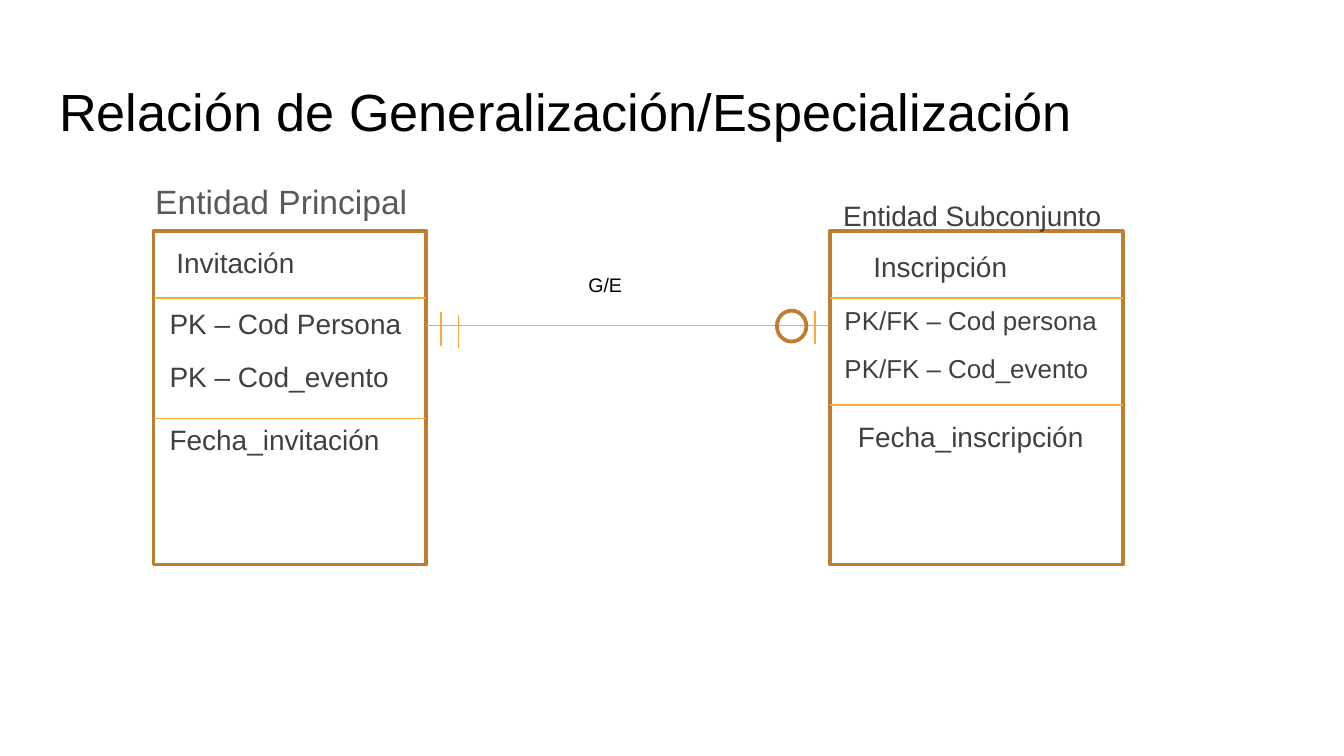
from lxml.etree import SubElement
from pptx import Presentation
from pptx.dml.color import RGBColor as Rgb
from pptx.enum.shapes import MSO_CONNECTOR as Conn, MSO_SHAPE as Shape
from pptx.enum.text import MSO_ANCHOR as Anchor, PP_ALIGN as Align
from pptx.oxml.ns import qn
from pptx.util import Inches, Pt

COLS, ROWS = 100, 56.25
INK = {"title": "000000", "head": "595959", "body": "404040",
       "frame": "BD7F2F", "rule": "FEA83A"}


def cell(num):
    return Inches(num / 10)


def tint(name):
    return Rgb.from_string(INK[name])


def style(item, props):
    for key, val in props.items():
        setattr(item, key, val)


def write(frame, lines, size, ink="body", pad=(1, 0.4, 0, 0.4), lead=0.9):
    left, top, right, low = map(cell, pad)
    style(frame, {"margin_left": left, "margin_top": top, "margin_right": right,
                  "margin_bottom": low, "word_wrap": True, "vertical_anchor": Anchor.TOP})
    for num, line in enumerate(lines):
        para = frame.paragraphs[0] if num == 0 else frame.add_paragraph()
        para.text = line
        style(para, {"alignment": Align.LEFT, "line_spacing": lead,
                     "space_before": Pt(12 if num else 0), "space_after": Pt(2)})
        style(para.font, {"name": "Arial", "size": Pt(size)})
        para.font.color.rgb = tint(ink)


def label(slide, box, lines, size, **look):
    text = slide.shapes.add_textbox(*map(cell, box))
    write(text.text_frame, lines, size, **look)


def rule(slide, ends):
    line = slide.shapes.add_connector(Conn.STRAIGHT, *map(cell, ends))
    line.line.color.rgb = tint("rule")
    line.line.width = Pt(0.75)
    SubElement(line._element.spPr, qn("a:effectLst"))


def outline(slide, kind, box):
    shape = slide.shapes.add_shape(kind, *map(cell, box))
    shape.shadow.inherit = False
    shape.fill.background()
    shape.line.color.rgb = tint("frame")
    shape.line.width = Pt(2)


def title(slide, box, text):
    head = slide.shapes.title
    style(head, dict(zip(("left", "top", "width", "height"), map(cell, box))))
    write(head.text_frame, [text], 28, ink="title", pad=(1, 1, 1, 1), lead=1)


def entity(slide, box, splits, parts):
    left, top, wide, high = box
    outline(slide, Shape.RECTANGLE, box)
    for drop in splits:
        rule(slide, (left, top + drop, left + wide, top + drop))
    for right, down, tall, lines, size, lead in parts:
        label(slide, (left + right, top + down, 21.8, tall), lines, size, lead=lead)


def relation(slide, box, name):
    left, top, wide, high = box
    mid = top + high / 2
    rule(slide, (left, mid, left + wide, mid))
    for right, down in ((1.1, 0.2), (2.4, 0.4), (28.95, 0.1)):
        rule(slide, (left + right, top + down, left + right, top + down + 2.5))
    outline(slide, Shape.OVAL, (left + 26.1, top + 0.1, 2.2, 2.3))
    label(slide, (left + 11.1, top - 3.2, 11.2, 2.8), [name], 10.5,
          ink="title", pad=(1, 0.5, 1, 0.5), lead=1)


def main():
    deck = Presentation()
    deck.slide_width, deck.slide_height = cell(COLS), cell(ROWS)
    slide = deck.slides.add_slide(deck.slide_layouts[5])
    title(slide, (3.4, 4.9, 93.2, 6.3), "Relación de Generalización/Especialización")
    label(slide, (9.3, 12, 27.4, 4.4), ["Entidad Principal"], 18,
          ink="head", pad=(2.25, 1, 1, 1), lead=1.15)
    entity(slide, (11.43, 17.2, 20.3, 24.8), (4.97, 13.93), (
        (0.7, 0.95, 3.4, ["Invitación"], 15, 0.9),
        (0.2, 5.7, 7.2, ["PK – Cod Persona", "PK – Cod_evento"], 15, 0.8),
        (0.2, 14.1, 4.8, ["Fecha_invitación"], 15, 0.9)))
    entity(slide, (61.75, 17.2, 21.8, 24.8), (4.97, 12.93), (
        (0, -2.55, 3.4, ["Entidad Subconjunto"], 15, 0.9),
        (2.25, 1.25, 3.4, ["Inscripción"], 15, 0.9),
        (0.1, 5.7, 6.4, ["PK/FK – Cod persona", "PK/FK – Cod_evento"], 13.9, 0.7),
        (1.1, 13.9, 4.3, ["Fecha_inscripción"], 15, 0.9)))
    relation(slide, (31.7, 23.02, 30, 2.4), "G/E")
    deck.save("out.pptx")


if __name__ == "__main__":
    main()
